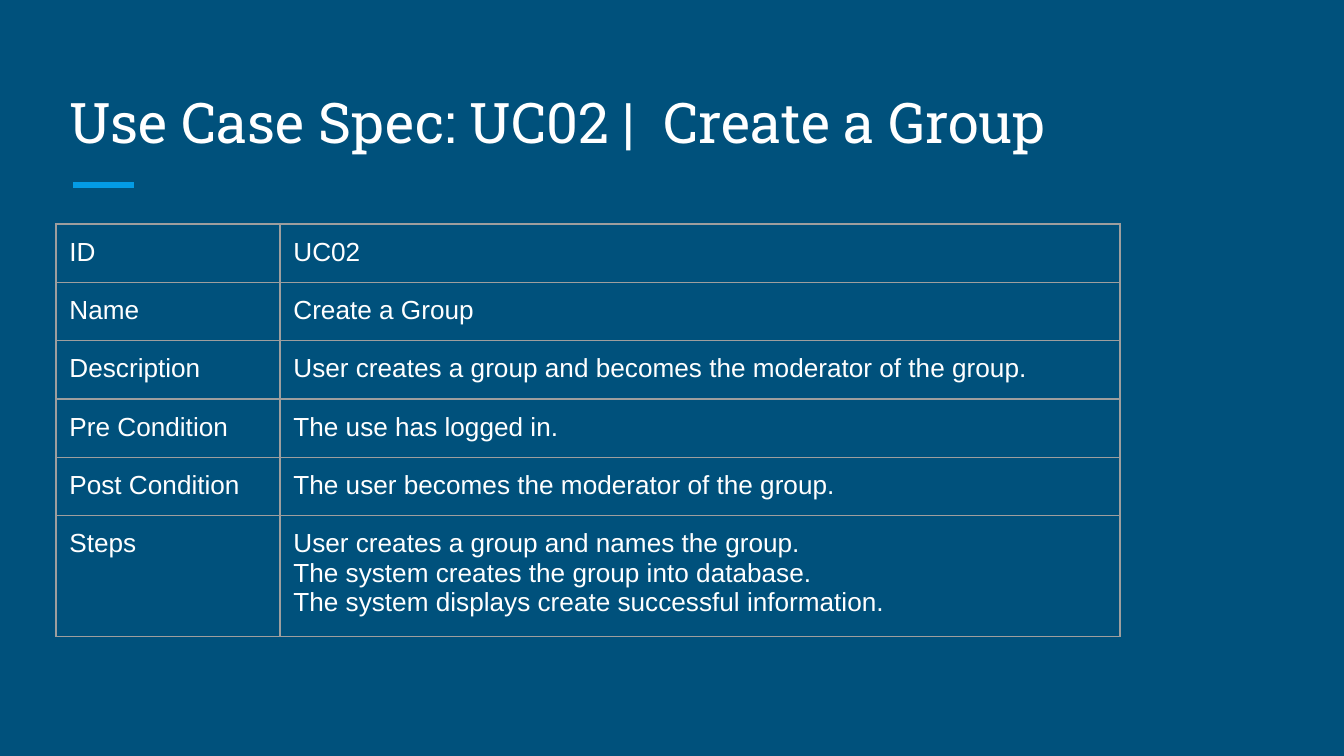
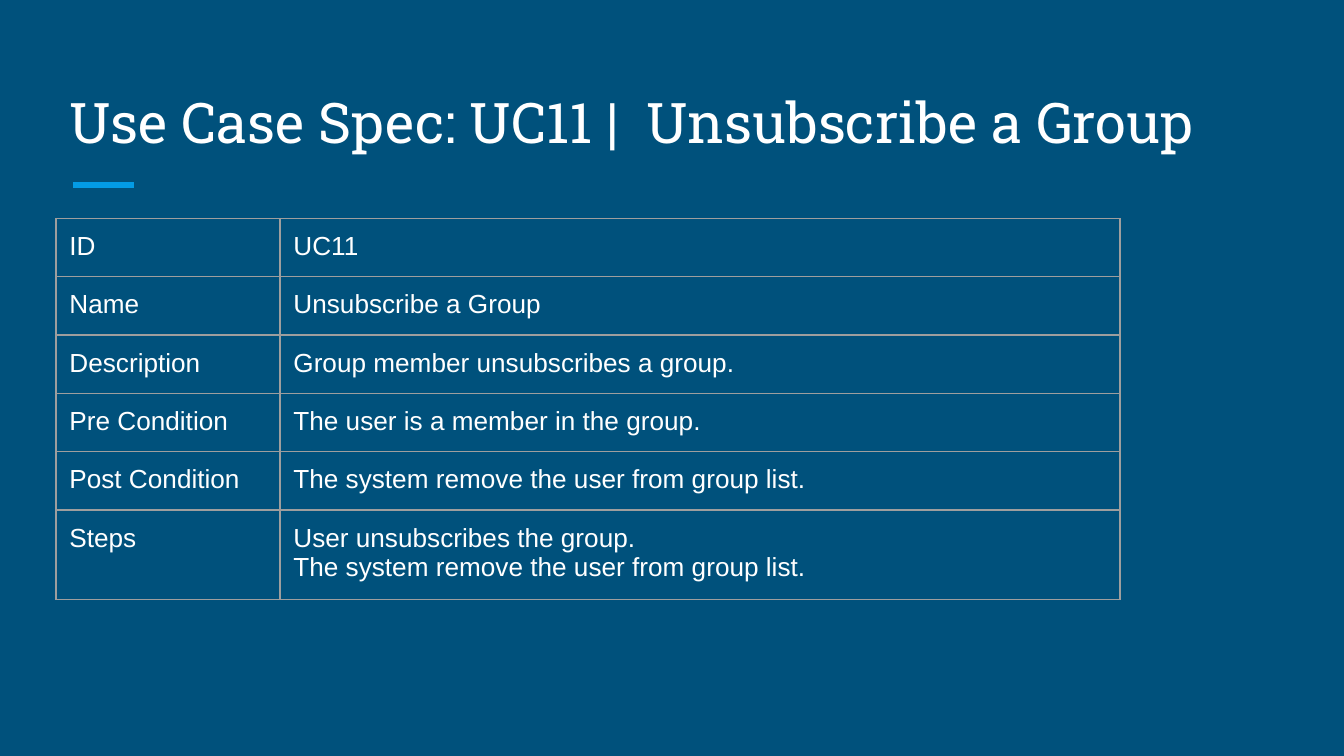
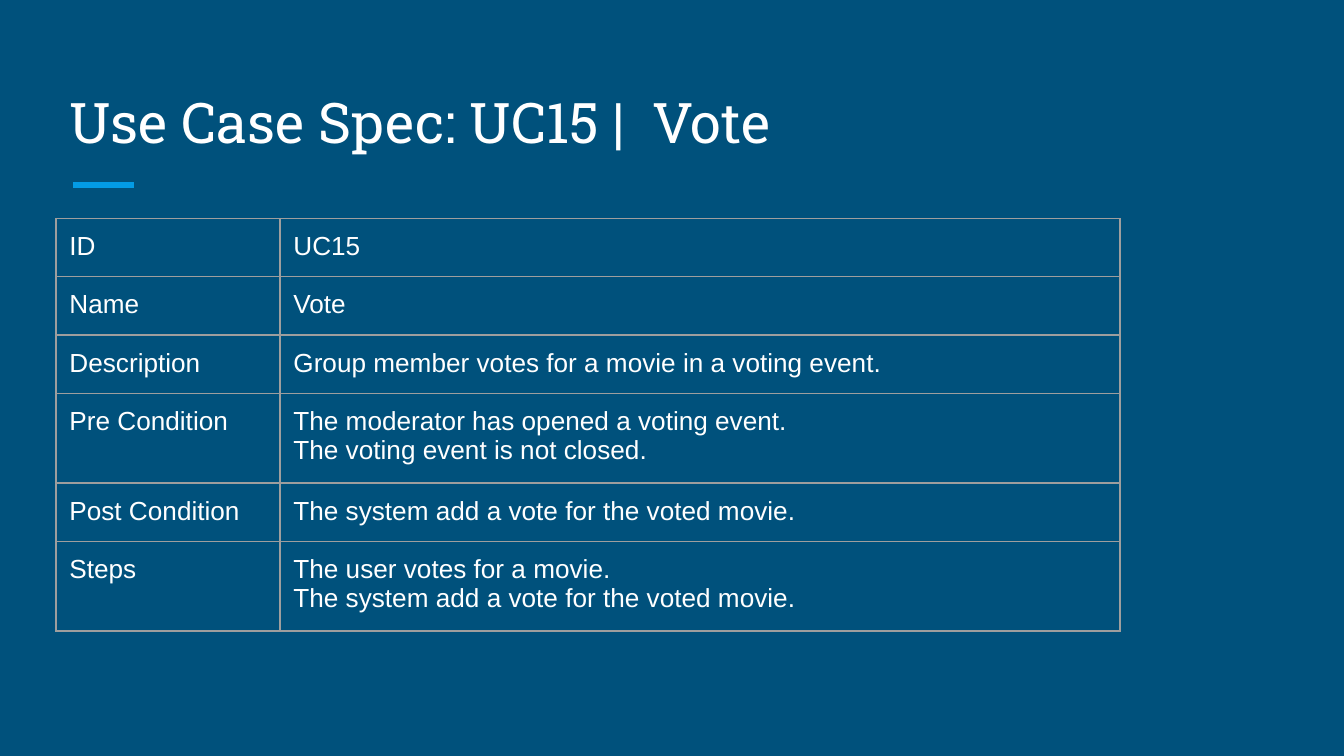
from lxml import etree
from pptx import Presentation
from pptx.dml.color import RGBColor
from pptx.enum.shapes import MSO_CONNECTOR
from pptx.enum.text import MSO_ANCHOR
from pptx.oxml.ns import qn
from pptx.util import Inches, Pt

STRAIGHT = MSO_CONNECTOR.STRAIGHT
BOTTOM = MSO_ANCHOR.BOTTOM

NAVY = RGBColor(0x00, 0x51, 0x7C)
SKY = RGBColor(0x03, 0x9B, 0xE5)
GREY = RGBColor(0x9E, 0x9E, 0x9E)
WHITE = RGBColor(0xFF, 0xFF, 0xFF)

TITLE_FONT, BODY_FONT = "Roboto Slab", "Arial"
INSET = Inches(0.1)
GRID_COLUMNS = 24  # square grid: 24 columns by 13.5 rows

FIELDS = ("ID", "Name", "Description", "Pre Condition", "Post Condition", "Steps")
FIELD_COLUMNS = (4, 15)

# Table top in grid rows, then ID, name, description, pre, post and steps
USE_CASES = (
    (4, (
        "UC02",
        "Create a Group",
        "User creates a group and becomes the moderator of the group.",
        "The use has logged in.",
        "The user becomes the moderator of the group.",
        "User creates a group and names the group.\n"
        "The system creates the group into database.\n"
        "The system displays create successful information.",
    )),
    (3.9, (
        "UC11",
        "Unsubscribe a Group",
        "Group member unsubscribes a group.",
        "The user is a member in the group.",
        "The system remove the user from group list.",
        "User unsubscribes the group.\n"
        "The system remove the user from group list.",
    )),
    (3.9, (
        "UC15",
        "Vote",
        "Group member votes for a movie in a voting event.",
        "The moderator has opened a voting event.\n"
        "The voting event is not closed.",
        "The system add a vote for the voted movie.",
        "The user votes for a movie.\n"
        "The system add a vote for the voted movie.",
    )),
)


class Deck:
    """Holds the shared style and the slide being built."""

    def __init__(self):
        self.presentation = Presentation()
        self.presentation.slide_width = Inches(10)
        self.presentation.slide_height = Inches(5.625)
        self.slide = None

    def grid(self, *units):
        return [round(self.presentation.slide_width * unit / GRID_COLUMNS)
                for unit in units]

    def new_slide(self):
        blank = self.presentation.slide_layouts[6]
        self.slide = self.presentation.slides.add_slide(blank)
        background = self.slide.background.fill
        background.solid()
        background.fore_color.rgb = NAVY

    def set_text(self, frame, text, font, size):
        frame.text = text
        for paragraph in frame.paragraphs:
            for run in paragraph.runs:
                run.font.name = font
                run.font.size = Pt(size)
                run.font.color.rgb = WHITE

    def inset(self, holder):
        holder.margin_left = holder.margin_right = INSET
        holder.margin_top = holder.margin_bottom = INSET

    def accent(self):
        x1, x2, y = self.grid(1.3, 2.4, 3.3)
        rule = self.slide.shapes.add_connector(STRAIGHT, x1, y, x2, y)
        rule.line.color.rgb = SKY
        rule.line.width = Pt(3)
        etree.SubElement(rule._element.spPr, qn("a:effectLst"))

    def title(self, text):
        frame = self.slide.shapes.add_textbox(*self.grid(1, 1.2, 22, 1.8)).text_frame
        frame.word_wrap = True
        frame.vertical_anchor = BOTTOM
        self.inset(frame)
        self.set_text(frame, text, TITLE_FONT, 30)

    def borders(self, cell):
        properties = cell._tc.get_or_add_tcPr()
        for side in ("lnL", "lnR", "lnT", "lnB"):
            line = etree.SubElement(properties, qn(f"a:{side}"), w=str(Pt(0.75)))
            fill = etree.SubElement(line, qn("a:solidFill"))
            etree.SubElement(fill, qn("a:srgbClr"), val=str(GREY))

    def spec_table(self, top, values):
        area = self.grid(1, top, sum(FIELD_COLUMNS), len(FIELDS))
        table = self.slide.shapes.add_table(len(FIELDS), len(FIELD_COLUMNS), *area).table
        table.first_row = table.horz_banding = False
        for column, width in zip(table.columns, self.grid(*FIELD_COLUMNS)):
            column.width = width
        for row, texts in zip(table.rows, zip(FIELDS, values)):
            for cell, text in zip(row.cells, texts):
                self.inset(cell)
                self.borders(cell)
                cell.fill.background()
                self.set_text(cell.text_frame, text, BODY_FONT, 14)


def main():
    deck = Deck()
    for table_top, values in USE_CASES:
        case_id, name = values[:2]
        deck.new_slide()
        deck.accent()
        deck.title(f"Use Case Spec: {case_id} |  {name}")
        deck.spec_table(table_top, values)
    deck.presentation.save("out.pptx")


if __name__ == "__main__":
    main()
